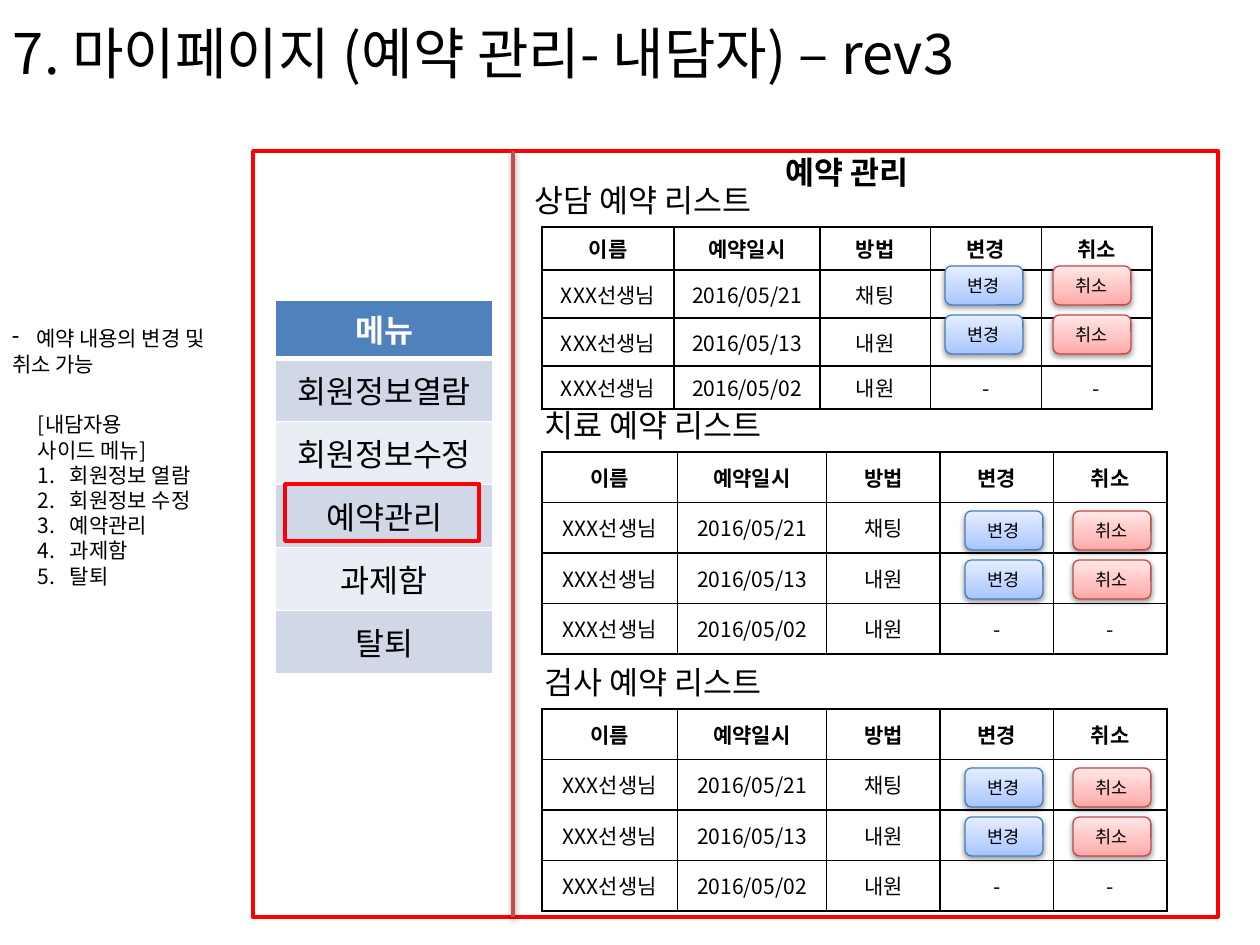
from lxml import etree
from pptx import Presentation
from pptx.dml.color import RGBColor
from pptx.enum.shapes import MSO_CONNECTOR, MSO_SHAPE
from pptx.enum.text import MSO_ANCHOR, MSO_AUTO_SIZE, PP_ALIGN
from pptx.oxml import parse_xml
from pptx.oxml.ns import nsdecls, qn
from pptx.util import Pt

EMU_PER_PX = 914400 / 126
KOREAN, BUTTON_FONT = "Noto Sans CJK KR", "Arial"
LEFT, CENTER = PP_ALIGN.LEFT, PP_ALIGN.CENTER
TOP, MIDDLE = MSO_ANCHOR.TOP, MSO_ANCHOR.MIDDLE
BLACK, WHITE, RED = "000000", "FFFFFF", "FF0000"

MENU = ["메뉴", "회원정보열람", "회원정보수정", "예약관리", "과제함", "탈퇴"]
BOOKINGS = [
    ["이름", "예약일시", "방법", "변경", "취소"],
    ["XXX선생님", "2016/05/21", "채팅", "", ""],
    ["XXX선생님", "2016/05/13", "내원", "", ""],
    ["XXX선생님", "2016/05/02", "내원", "-", "-"],
]
COLUMN_SHARES = [105, 116, 88, 88, 88]
# label: (gradient from bottom to top, outline)
BUTTONS = {
    "변경": (["A4C4FF", "BFD4FF", "E6EEFF"], "4B7EBC"),
    "취소": (["FFA6A5", "FFC0BF", "FFE7E7"], "BF4C48"),
}


def px(length):
    return round(length * EMU_PER_PX)


def box_emu(box):
    return [px(length) for length in box]


def rgb(color):
    return RGBColor.from_string(color)


def add_run(paragraph, text, size, color=BLACK, bold=False, font=KOREAN):
    run = paragraph.add_run()
    run.text = text
    run.font.size, run.font.bold, run.font.name = Pt(size), bold, font
    run.font.color.rgb = rgb(color)
    run.font._element.get_or_add_latin().addnext(
        parse_xml(f'<a:ea {nsdecls("a")} typeface="{font}"/>'))


def set_frame(frame, anchor, insets=(13, 6, 13, 6)):
    frame.word_wrap = True
    frame.auto_size = MSO_AUTO_SIZE.NONE
    frame.vertical_anchor = anchor
    (frame.margin_left, frame.margin_top,
     frame.margin_right, frame.margin_bottom) = box_emu(insets)


def add_bullet(paragraph, tag, indent, **attributes):
    properties = paragraph._p.get_or_add_pPr()
    properties.set("marL", str(px(indent)))
    properties.set("indent", str(-px(indent)))
    etree.SubElement(properties, qn(f"a:{tag}"), attributes)


def add_text(slide, box, lines, size, align=LEFT, bold=False, insets=(13, 6, 13, 6)):
    frame = slide.shapes.add_textbox(*box_emu(box)).text_frame
    set_frame(frame, TOP, insets)
    for index, line in enumerate(lines):
        paragraph = frame.add_paragraph() if index else frame.paragraphs[0]
        paragraph.alignment = align
        add_run(paragraph, line, size, bold=bold)
    return frame.paragraphs


def add_soft_shadow(shape):
    properties = shape._element.spPr
    for old in properties.findall(qn("a:effectLst")):
        properties.remove(old)
    properties.append(parse_xml(
        f'<a:effectLst {nsdecls("a")}><a:outerShdw blurRad="40000" dist="20000" '
        'dir="5400000" rotWithShape="0"><a:srgbClr val="000000">'
        '<a:alpha val="38000"/></a:srgbClr></a:outerShdw></a:effectLst>'))


def add_red_box(slide, box, fill=None):
    outline = slide.shapes.add_shape(MSO_SHAPE.RECTANGLE, *box_emu(box))
    outline.shadow.inherit = False
    if fill:
        outline.fill.solid()
        outline.fill.fore_color.rgb = rgb(fill)
    else:
        outline.fill.background()
    outline.line.color.rgb = rgb(RED)
    outline.line.width = Pt(2)


def add_button(slide, box, label):
    gradient, outline = BUTTONS[label]
    button = slide.shapes.add_shape(MSO_SHAPE.ROUNDED_RECTANGLE, *box_emu(box))
    stops = "".join(f'<a:gs pos="{pos}"><a:srgbClr val="{color}"/></a:gs>'
                    for pos, color in zip((0, 35000, 100000), gradient))
    button._element.spPr.append(parse_xml(
        f'<a:gradFill {nsdecls("a")} rotWithShape="1"><a:gsLst>{stops}</a:gsLst>'
        '<a:lin ang="16200000" scaled="0"/></a:gradFill>'))
    button.line.color.rgb = rgb(outline)
    button.line.width = Pt(0.75)
    add_soft_shadow(button)
    set_frame(button.text_frame, MIDDLE)
    paragraph = button.text_frame.paragraphs[0]
    paragraph.alignment = CENTER
    add_run(paragraph, label, 10, font=BUTTON_FONT)


def add_plain_table(slide, box, row_count, column_count):
    table = slide.shapes.add_table(row_count, column_count, *box_emu(box)).table
    table.first_row = table.horz_banding = False
    return table


def fill_cell(cell, text, size, color, bold, border, widths, fill=None):
    """Border widths are in points, in the order left, right, top, bottom."""
    properties = cell._tc.get_or_add_tcPr()
    for side, width in zip("LRTB", widths):
        properties.append(parse_xml(
            f'<a:ln{side} {nsdecls("a")} w="{Pt(width)}"><a:solidFill>'
            f'<a:srgbClr val="{border}"/></a:solidFill></a:ln{side}>'))
    if fill:
        cell.fill.solid()
        cell.fill.fore_color.rgb = rgb(fill)
    else:
        cell.fill.background()
    cell.vertical_anchor = MIDDLE
    paragraph = cell.text_frame.paragraphs[0]
    paragraph.alignment = CENTER
    add_run(paragraph, text, size, color, bold)


def add_title(slide, box, text):
    title = slide.shapes.title
    title.left, title.top, title.width, title.height = box_emu(box)
    set_frame(title.text_frame, MIDDLE)
    paragraph = title.text_frame.paragraphs[0]
    paragraph.alignment = LEFT
    add_run(paragraph, text, 32)


def add_menu(slide, box):
    left, top, width, _ = box
    header_height, item_height = 54, 63
    table = add_plain_table(slide, box, len(MENU), 1)
    for row, label in enumerate(MENU):
        header = row == 0
        table.rows[row].height = px(header_height if header else item_height)
        fill = "4F81BD" if header else ("E9EDF4", "D0D8E8")[row % 2]
        widths = (1, 1, 3 if row == 1 else 1, 3 if header else 1)
        fill_cell(table.cell(row, 0), label, 18, WHITE if header else BLACK,
                  header, WHITE, widths, fill)
    selected = MENU.index("예약관리")
    selected_top = top + header_height + (selected - 1) * item_height
    add_red_box(slide, (left + 10, selected_top + 4, width - 24, item_height - 6))


def add_bookings(slide, box, label, label_offset, button_offset):
    left, top, width, height = box
    add_text(slide, (left + label_offset, top - 59, 316, 50), [label], 18,
             insets=(13, 13, 13, 13))
    table = add_plain_table(slide, box, len(BOOKINGS), len(COLUMN_SHARES))
    for column, share in zip(table.columns, COLUMN_SHARES):
        column.width = px(width) * share // sum(COLUMN_SHARES)
    for row, values in enumerate(BOOKINGS):
        table.rows[row].height = px(height) // len(BOOKINGS)
        for column, value in enumerate(values):
            fill_cell(table.cell(row, column), value, 12, BLACK, row == 0,
                      BLACK, (1, 1, 1, 1))
    button_left, button_top = button_offset
    for row in range(2):
        for column, action in enumerate(BUTTONS):
            add_button(slide, (left + button_left + column * 108,
                               top + button_top + row * 49, 78, 39), action)


def add_notes_column(slide, box):
    left, top, width, _ = box
    insets = (13, 6, 0, 6)
    remark = add_text(slide, (left, top, width, 63),
                      ["예약 내용의 변경 및", "취소 가능"], 12, insets=insets)
    add_bullet(remark[0], "buChar", 24, char="-")
    side_menu = ["회원정보 열람", "회원정보 수정", "예약관리", "과제함", "탈퇴"]
    lines = add_text(slide, (left + 26, top + 86, 203, 190),
                     ["[내담자용", "사이드 메뉴]"] + side_menu, 12, insets=insets)
    for item in lines[2:]:
        add_bullet(item, "buAutoNum", 32, type="arabicPeriod")


def add_page(slide, box):
    left, top, _, height = box
    add_red_box(slide, box, WHITE)
    add_text(slide, (left + 514, top - 4, 160, 50), ["예약 관리"], 18, CENTER, True)
    add_menu(slide, (left + 22, top + 149, 218, 369))
    divider = slide.shapes.add_connector(MSO_CONNECTOR.STRAIGHT, *box_emu(
        (left + 260, top, left + 260, top + height)))
    divider.line.color.rgb = rgb("C0504D")
    divider.line.width = Pt(2)
    add_soft_shadow(divider)
    lists_left = left + 289
    add_bookings(slide, (lists_left, top + 76, 610, 168), "상담 예약 리스트", -20, (403, 39))
    add_bookings(slide, (lists_left, top + 301, 625, 202), "치료 예약 리스트", -10, (423, 59))
    add_bookings(slide, (lists_left, top + 558, 625, 202), "검사 예약 리스트", -10, (423, 59))


def main():
    deck = Presentation()
    deck.slide_width, deck.slide_height = px(1260), px(945)
    slide = deck.slides.add_slide(deck.slide_layouts[5])
    add_title(slide, (0, -1, 1223, 107), "7. 마이페이지 (예약 관리- 내담자) – rev3")
    add_page(slide, (253, 151, 965, 766))
    add_notes_column(slide, (-1, 320, 234, 276))
    deck.save("out.pptx")


if __name__ == "__main__":
    main()
